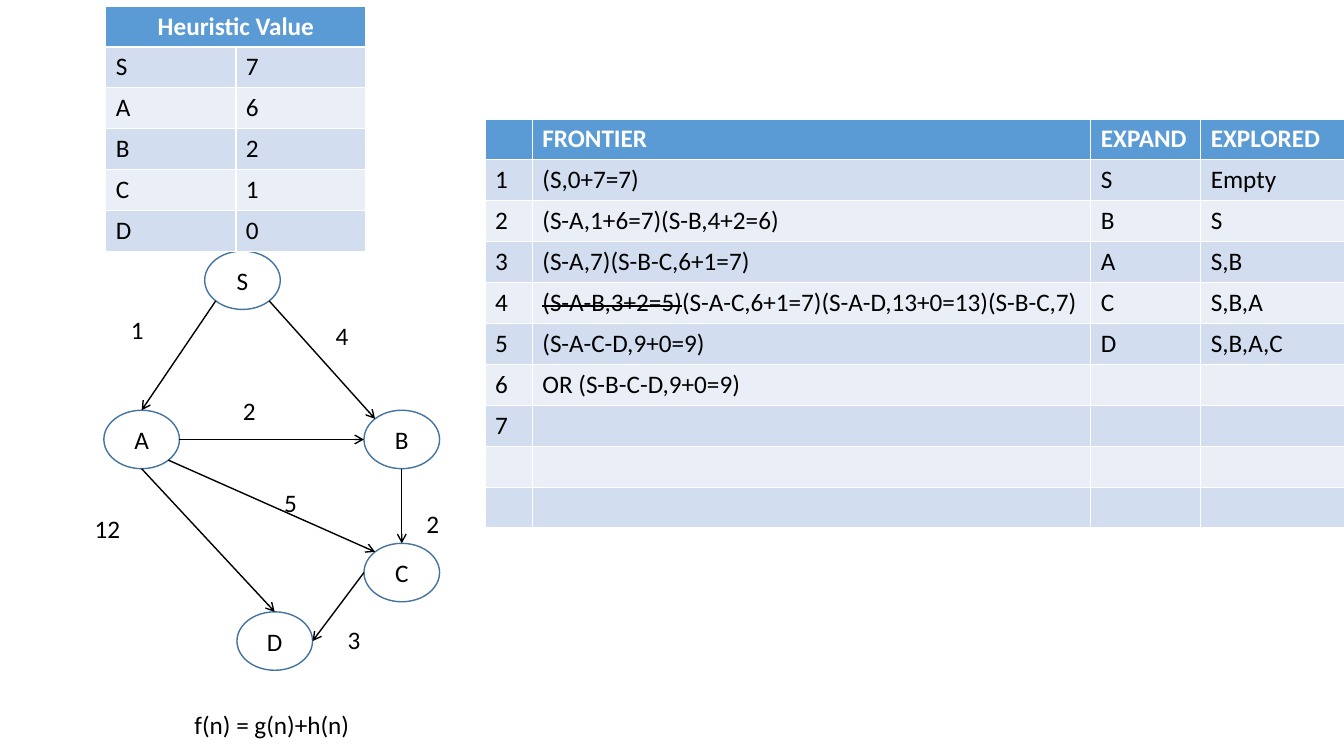
from pptx import Presentation
from pptx.dml.color import RGBColor
from pptx.enum.shapes import MSO_CONNECTOR, MSO_SHAPE
from pptx.enum.text import MSO_ANCHOR, MSO_AUTO_SIZE, PP_ALIGN
from pptx.oxml.ns import qn
from pptx.util import Inches, Pt
from lxml.etree import SubElement

NODES = {"S": (2.03, 2.49), "A": (1.03, 4.07), "B": (3.61, 4.07),
         "D": (2.35, 6.07), "C": (3.61, 5.39)}
EDGES = [("S", "SW", "A", "N"), ("S", "SE", "B", "NW"), ("A", "S", "D", "N"),
         ("B", "S", "C", "N"), ("C", "W", "D", "E"), ("A", "E", "B", "W"),
         ("A", "SE", "C", "NW")]
COSTS = [("1", 1.2, 3.07), ("4", 3.23, 3.13), ("12", 0.84, 5.04),
         ("5", 2.72, 4.79), ("2", 4.13, 4.99), ("3", 3.35, 6.14),
         ("2", 2.31, 3.87)]
FORMULA = "f(n) = g(n)+h(n)"
VALUES = [("Heuristic Value", ""), ("S", "7"), ("A", "6"), ("B", "2"),
          ("C", "1"), ("D", "0")]
PRUNED = "(S-A-B,3+2=5)"
STEPS = [
    ("", "FRONTIER", "EXPAND", "EXPLORED"),
    ("1", "(S,0+7=7)", "S", "Empty"),
    ("2", "(S-A,1+6=7)(S-B,4+2=6)", "B", "S"),
    ("3", "(S-A,7)(S-B-C,6+1=7)", "A", "S,B"),
    ("4", PRUNED + "(S-A-C,6+1=7)(S-A-D,13+0=13)(S-B-C,7)", "C", "S,B,A"),
    ("5", "(S-A-C-D,9+0=9)", "D", "S,B,A,C"),
    ("6", "OR (S-B-C-D,9+0=9)", "", ""),
    ("7", "", "", ""),
    ("", "", "", ""),
    ("", "", "", ""),
]
WIDE, HIGH = 0.75, 0.58
ROW = 0.406
DIAG = 0.5 ** 0.5
HEAD, BANDS = "5B9BD5", ("D2DEEF", "EAEFF7")


def color(target, code):
    if hasattr(target, "solid"):
        target.solid()
        target = target.fore_color
    target.rgb = RGBColor.from_string(code)


def write(frame, text, ink="000000", bold=False, align=PP_ALIGN.LEFT):
    par = frame.paragraphs[0]
    par.alignment = align
    struck = PRUNED if text.startswith(PRUNED) else ""
    for part in filter(None, (struck, text[len(struck):])):
        run = par.add_run()
        run.text = part
        run.font.name = "Calibri"
        run.font.size = Pt(18)
        run.font.bold = bold
        color(run.font.color, ink)
        if part == struck:
            run.font._element.set("strike", "sngStrike")


def label(slide, text, left, top, width=0.47):
    box = slide.shapes.add_textbox(*map(Inches, (left, top, width, 0.4)))
    box.text_frame.word_wrap = True
    box.text_frame.auto_size = MSO_AUTO_SIZE.SHAPE_TO_FIT_TEXT
    write(box.text_frame, text)


def node(slide, name, left, top):
    oval = slide.shapes.add_shape(
        MSO_SHAPE.OVAL, *map(Inches, (left, top, WIDE, HIGH)))
    oval.shadow.inherit = False
    color(oval.fill, "FFFFFF")
    color(oval.line.fill, "43739E")
    oval.line.width = Pt(1)
    oval.text_frame.vertical_anchor = MSO_ANCHOR.MIDDLE
    write(oval.text_frame, name, align=PP_ALIGN.CENTER)


def site(name, side):
    left, top = NODES[name]
    reach = DIAG if len(side) == 2 else 1
    over = ("E" in side) - ("W" in side)
    down = ("S" in side) - ("N" in side)
    return (Inches(left + WIDE / 2 * (1 + reach * over)),
            Inches(top + HIGH / 2 * (1 + reach * down)))


def arrow(slide, start, leave, end, enter):
    line = slide.shapes.add_connector(
        MSO_CONNECTOR.STRAIGHT, *site(start, leave), *site(end, enter))
    color(line.line.fill, "000000")
    line.line.width = Pt(1)
    SubElement(line.line._get_or_add_ln(), qn("a:tailEnd"), type="arrow")
    SubElement(line._element.spPr, qn("a:effectLst"))


def grid(slide, rows, left, top, widths, align=PP_ALIGN.LEFT):
    frame = slide.shapes.add_table(
        len(rows), len(widths),
        *map(Inches, (left, top, sum(widths), ROW * len(rows))))
    table = frame.table
    for col, width in zip(table.columns, widths):
        col.width = Inches(width)
    for r, row in enumerate(rows):
        table.rows[r].height = Inches(ROW)
        for c, text in enumerate(row):
            cell = table.cell(r, c)
            if r == 0:
                color(cell.fill, HEAD)
                write(cell.text_frame, text, "FFFFFF", True, align)
            else:
                color(cell.fill, BANDS[(r - 1) % 2])
                write(cell.text_frame, text)
    return table


def main():
    deck = Presentation()
    deck.slide_width, deck.slide_height = Inches(13.33), Inches(7.5)
    slide = deck.slides.add_slide(deck.slide_layouts[6])
    for name, spot in NODES.items():
        node(slide, name, *spot)
    for edge in EDGES:
        arrow(slide, *edge)
    for cost in COSTS:
        label(slide, *cost)
    label(slide, FORMULA, 1.83, 6.99, 2.15)
    table = grid(slide, VALUES, 1.05, 0.06, (1.29, 1.29), PP_ALIGN.CENTER)
    table.cell(0, 0).merge(table.cell(0, 1))
    grid(slide, STEPS, 4.81, 1.18, (0.47, 5.54, 1.09, 1.43))
    deck.save("out.pptx")


if __name__ == "__main__":
    main()
